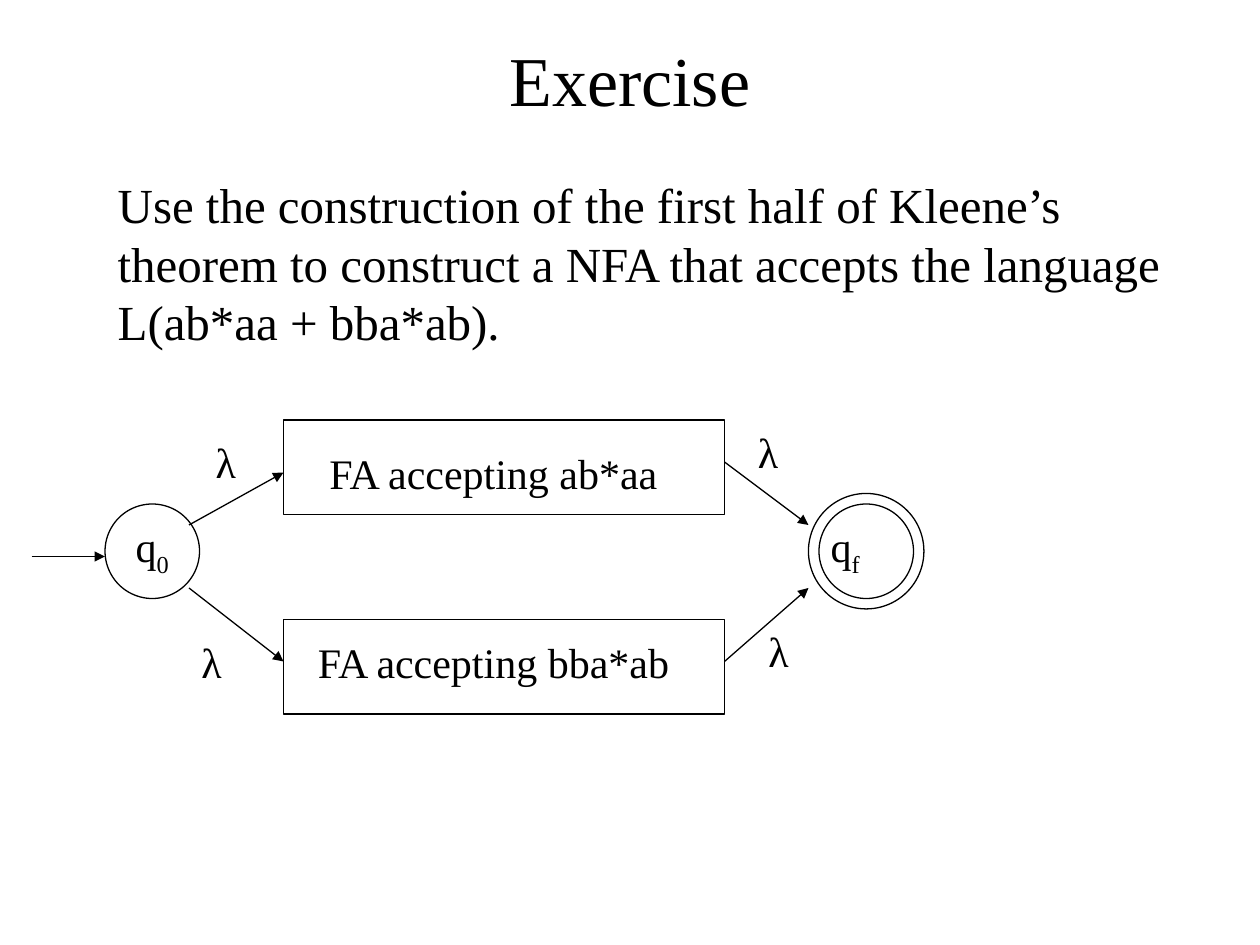
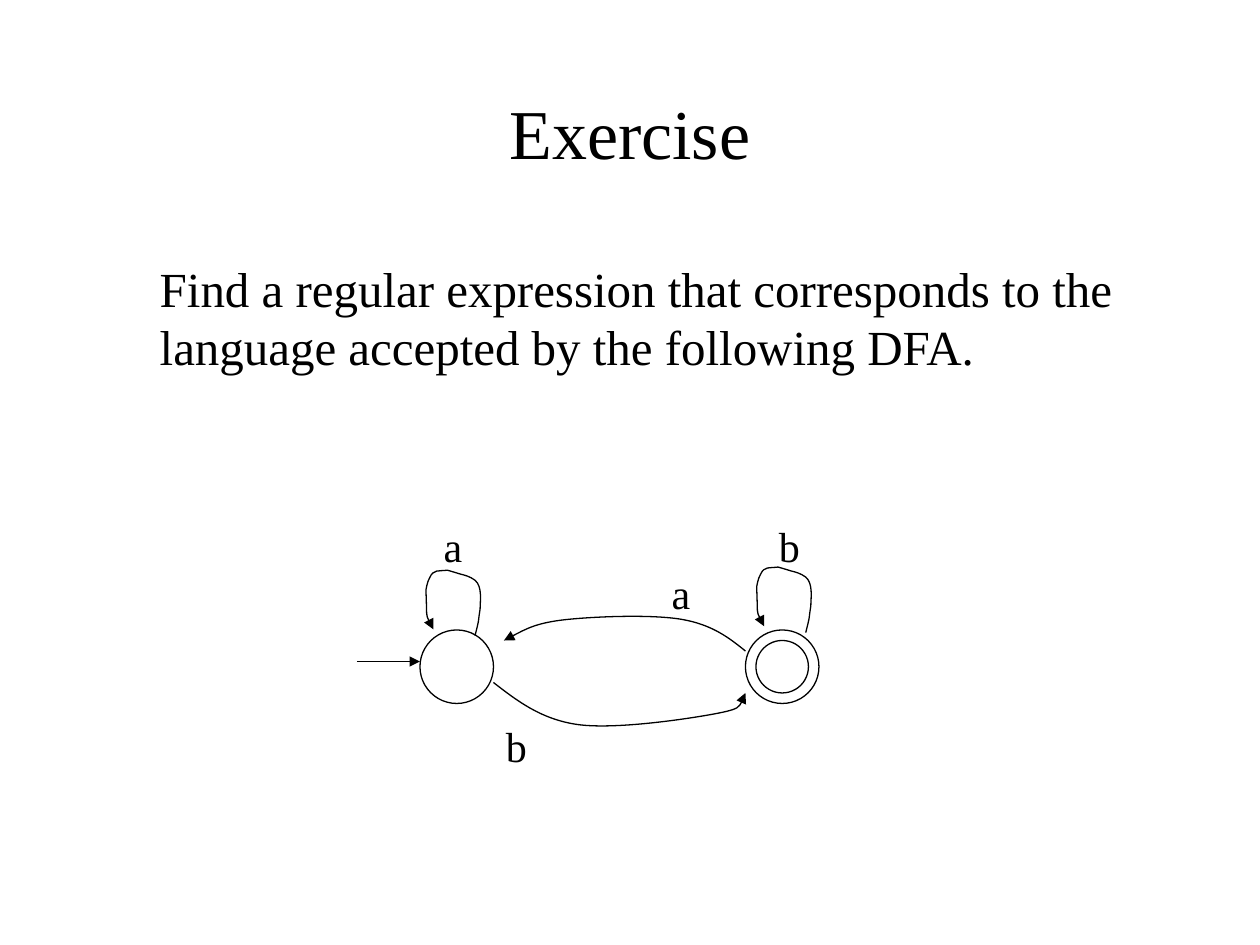
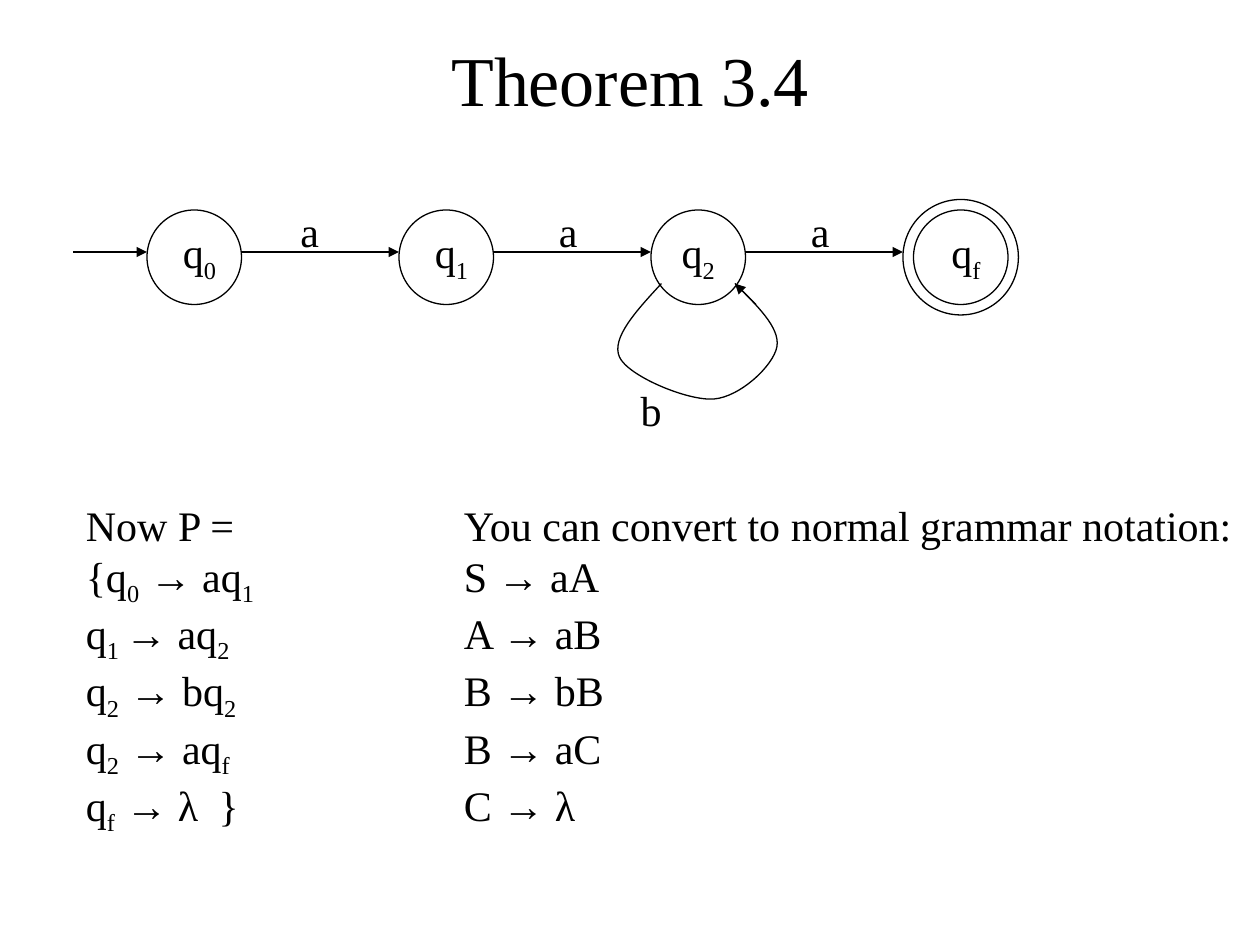
from itertools import groupby

from lxml import etree
from pptx import Presentation
from pptx.dml.color import RGBColor
from pptx.enum.shapes import MSO_CONNECTOR, MSO_SHAPE
from pptx.enum.text import MSO_ANCHOR, PP_ALIGN
from pptx.oxml.ns import qn
from pptx.util import Emu, Inches, Pt

LEFT, CENTER = PP_ALIGN.LEFT, PP_ALIGN.CENTER
TOP, MIDDLE = MSO_ANCHOR.TOP, MSO_ANCHOR.MIDDLE
OVAL, RECT = MSO_SHAPE.OVAL, MSO_SHAPE.RECTANGLE
STRAIGHT = MSO_CONNECTOR.STRAIGHT

COLORS = {"ink": "000000", "page": "FFFFFF"}
FONT, SIGN = "Times New Roman", "Arial"
COLS, ROWS = 120, 90

# Self loop relative to its start: end of the line, then three points per curve.
LOOP = [(0, 0),
        (0.48, -1.92), (0.24, -1.08), (0.48, -2.52),
        (0.48, -3.24), (0.72, -4.68), (0, -5.28),
        (-0.48, -5.64), (-0.96, -5.76), (-1.44, -5.88),
        (-1.8, -6), (-2.64, -6.24), (-2.64, -6.24),
        (-3.48, -6.12), (-3.96, -6.36), (-4.32, -5.52),
        (-4.56, -5.16), (-4.68, -4.32), (-4.68, -4.32),
        (-4.56, -1.68), (-4.8, -2.16), (-3.96, -0.6)]


def unit(n):
    """Length of n grid cells, twelve to the inch."""
    return Emu(round(n * Inches(1) / 12))


class Deck:
    def __init__(self):
        self.prs = Presentation()
        self.prs.slide_width, self.prs.slide_height = unit(COLS), unit(ROWS)
        self.slide = None

    def page(self, title, top=0):
        self.slide = self.prs.slides.add_slide(self.prs.slide_layouts[6])
        fill = self.slide.background.fill
        fill.solid()
        fill.fore_color.rgb = RGBColor.from_string(COLORS["page"])
        self.text(9, top, 102, 15, [title], 40, CENTER, MIDDLE)

    def text(self, x, y, w, h, lines, size=24, align=LEFT, anchor=TOP, stops=()):
        """Lines of text; a pair of underscores holds a subscript."""
        box = self.slide.shapes.add_textbox(*map(unit, (x, y, w, h)))
        frame = box.text_frame
        frame.word_wrap, frame.vertical_anchor = True, anchor
        for i, line in enumerate(lines):
            para = frame.paragraphs[0] if i == 0 else frame.add_paragraph()
            para.alignment = align
            tabs = line.count("\t")
            if tabs:
                self.tabs(para, stops[-tabs:])
            for j, part in enumerate(line.split("_")):
                for sign, chars in groupby(part, lambda c: c == "→"):
                    self.run(para, "".join(chars), size, SIGN if sign else FONT, j % 2)

    def tabs(self, para, stops):
        group = etree.SubElement(para._p.get_or_add_pPr(), qn("a:tabLst"))
        for stop in stops:
            etree.SubElement(group, qn("a:tab"), pos=str(unit(stop)), algn="l")

    def run(self, para, text, size, face, low):
        run = para.add_run()
        run.text = text
        run.font.size, run.font.name = Pt(size), face
        run.font.color.rgb = RGBColor.from_string(COLORS["ink"])
        if low:
            run.font._element.set("baseline", "-25000")

    def label(self, x, y, w, text):
        self.text(x, y, w, 6, [text], align=CENTER)

    def stroke(self, shape, arrow=False):
        shape.line.color.rgb = RGBColor.from_string(COLORS["ink"])
        shape.line.width = Pt(0.75)
        if arrow:
            line = shape._element.spPr.find(qn("a:ln"))
            etree.SubElement(line, qn("a:tailEnd"), type="triangle")

    def outline(self, shape, arrow=False):
        shape.shadow.inherit = False
        shape.fill.background()
        self.stroke(shape, arrow)

    def shape(self, kind, x, y, w, h):
        self.outline(self.slide.shapes.add_shape(kind, *map(unit, (x, y, w, h))))

    def state(self, x, y, size=9, final=False):
        self.shape(OVAL, x, y, size, size)
        if final:
            self.shape(OVAL, x - 1, y - 1, size + 2, size + 2)

    def arrow(self, *ends):
        line = self.slide.shapes.add_connector(STRAIGHT, *map(unit, ends))
        self.stroke(line, True)
        etree.SubElement(line._element.spPr, qn("a:effectLst"))

    def curve(self, points, arrow=True):
        """A chain of cubic curves: a start, then three points for each."""
        first, *rest = [(unit(x), unit(y)) for x, y in points]
        pen = self.slide.shapes.build_freeform(*first)
        pen.add_line_segments(rest, close=False)
        shape = pen.convert_to_shape()
        legs = list(shape._element.iter(qn("a:lnTo")))
        for i in range(0, len(legs), 3):
            cubic = etree.Element(qn("a:cubicBezTo"))
            legs[i].addprevious(cubic)
            for leg in legs[i:i + 3]:
                cubic.append(leg[0])
                leg.getparent().remove(leg)
        self.outline(shape, arrow)

    def loop(self, x, y):
        self.curve([(x + dx, y + dy) for dx, dy in LOOP])

    def save(self):
        self.prs.save("out.pptx")


def union(deck):
    deck.page("Exercise")
    deck.text(10.03, 16, 102.3, 18, [
        "Use the construction of the first half of Kleene’s",
        "theorem to construct a NFA that accepts the language",
        "L(ab*aa + bba*ab)."], 28)
    deck.state(10, 48)
    deck.state(78, 48, final=True)
    deck.label(10, 49, 9, "q_0_")
    deck.label(73, 49, 15, "q_f_")
    for top, row, lang in ((40, 42, "ab*aa"), (59, 60, "bba*ab")):
        deck.shape(RECT, 27, top, 42, 9)
        deck.label(28.5, row, 37, f"FA accepting {lang}")
    for ends in ((3, 53, 10, 53), (18, 50, 27, 45), (18, 56, 27, 63),
                 (69, 44, 77, 50), (69, 63, 77, 56)):
        deck.arrow(*ends)
    for x, y in ((19.35, 41), (71, 40), (18, 60), (72, 59)):
        deck.label(x, y, 4.3, "λ")


def cycle(deck):
    deck.page("Exercise", 5)
    deck.text(14.03, 24, 94, 12.5, [
        "Find a regular expression that corresponds to the",
        "language accepted by the following DFA."], 28)
    deck.state(40, 60, 7)
    deck.state(72, 61, 5, True)
    deck.arrow(34, 63, 40, 63)
    deck.loop(45.25, 60.55)
    deck.loop(76.75, 60.25)
    deck.curve([(47, 65), (49.2, 66.7), (51.5, 68.5), (55, 69),
                (58.5, 69.5), (65.3, 68.5), (68, 68),
                (70.7, 67.5), (70.8, 66.7), (71, 66)])
    deck.curve([(71, 62), (69.4, 60.7), (67.8, 59.5), (65, 59),
                (62.2, 58.5), (56.9, 58.7), (54, 59),
                (51.1, 59.3), (49.5, 60.2), (48, 61)])
    for x, y, mark in ((41, 49, "a"), (73, 49, "b"), (62.7, 53.5, "a"), (47, 68, "b")):
        deck.label(x, y, 4.3, mark)


def grammar(deck):
    deck.page("Theorem 3.4")
    for x in (14, 38, 62):
        deck.state(x, 20)
        deck.arrow(x + 9, 24, x + 24, 24)
    deck.state(87, 20, final=True)
    deck.arrow(7, 24, 14, 24)
    for x, w, low in ((13, 12, 0), (36, 14, 1), (59, 15, 2), (85, 14, "f")):
        deck.label(x, 21, w, f"q_{low}_")
    for x in (27.4, 52, 76):
        deck.label(x, 19, 4.2, "a")
    deck.curve([(63, 27), (60.6, 29.6), (58.2, 32.2), (59, 34),
                (59.8, 35.8), (65.5, 38.2), (68, 38),
                (70.5, 37.8), (73.7, 34.8), (74, 33),
                (74.3, 31.2), (72.1, 29.1), (70, 27)], False)
    deck.arrow(72, 29, 70, 27)
    deck.label(55, 36, 14, "b")
    deck.text(7, 47, 113, 33.4, [
        "Now P =\tYou can convert to normal grammar notation:",
        "{q_0_ → aq_1_\tS → aA",
        "q_1 _→ aq_2_\tA → aB",
        "q_2_ → bq_2_\tB → bB",
        "q_2_ → aq_f_\tB → aC",
        "q_f_ → λ\t}\tC → λ"], stops=(12.65, 36))


def main():
    deck = Deck()
    for draw in (union, cycle, grammar):
        draw(deck)
    deck.save()


if __name__ == "__main__":
    main()
